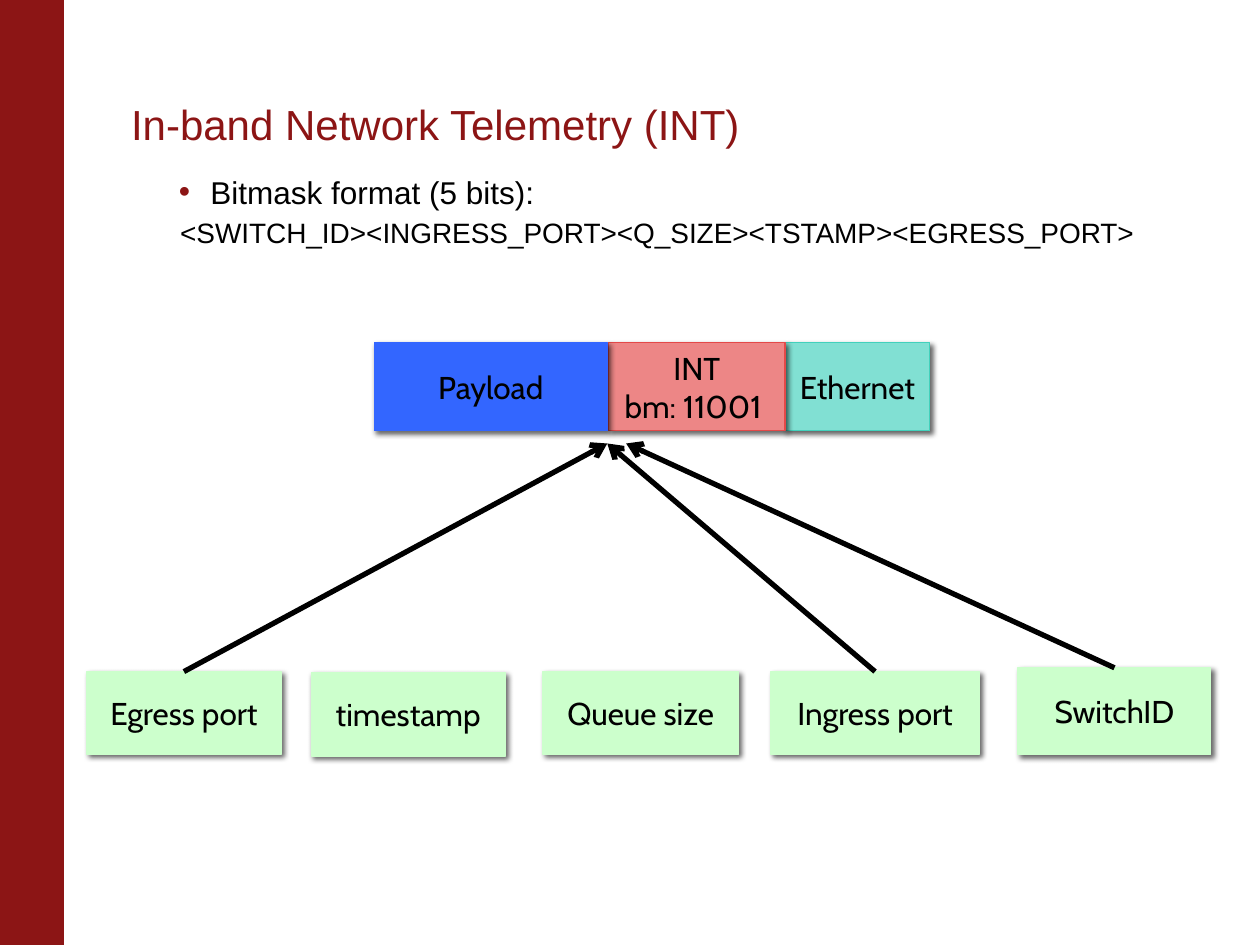
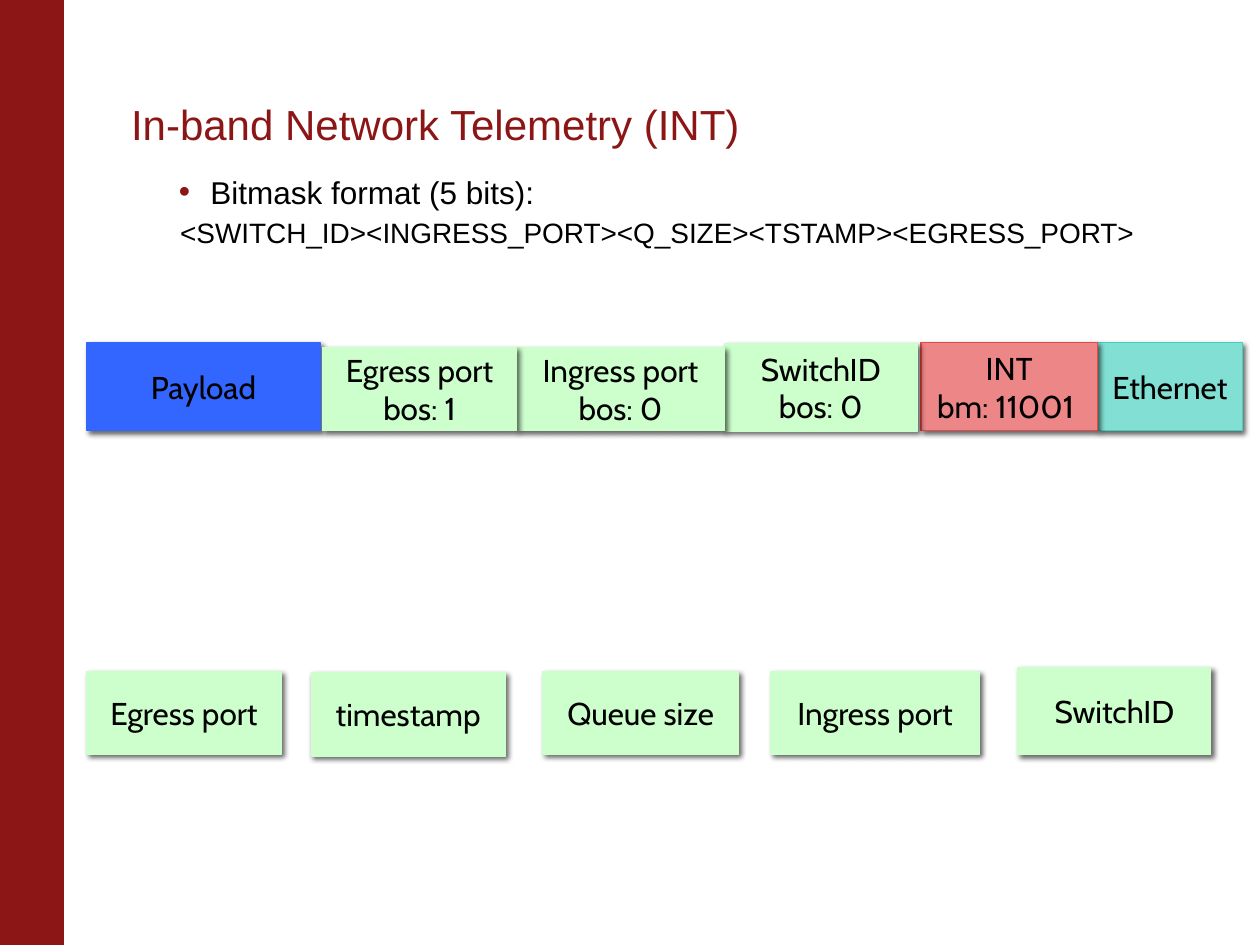
from lxml.etree import SubElement
from pptx import Presentation
from pptx.dml.color import RGBColor
from pptx.enum.shapes import MSO_CONNECTOR as CONN, MSO_SHAPE as SHAPE
from pptx.enum.text import MSO_ANCHOR as ANCHOR, MSO_AUTO_SIZE as AUTO, PP_ALIGN as ALIGN
from pptx.oxml.ns import qn
from pptx.util import Inches, Pt

COLS, ROWS = 100, 75
WIDTH, HEIGHT = Inches(10), Inches(7.5)
RED, BLACK, GREEN = "8C1515", "000000", "CCFFCC"
TITLE = "In-band Network Telemetry (INT)"
BODY = (10.5, 13.2, 84.2, 13.2)
METADATA = {"SwitchID": (15.3, 6.9), "Ingress port": (16.5, 6.6),
            "Queue size": (15.5, 6.6), "timestamp": (15.4, 6.6),
            "Egress port": (15.4, 6.6)}
SOURCES = {"SwitchID": (80.8, 53), "Ingress port": (61.2, 53.3),
           "timestamp": (24.7, 53.4), "Queue size": (43.1, 53.3),
           "Egress port": (6.9, 53.3)}
HEADERS = {"Ethernet": (11.5, "81E0D3", "42D1BC"),
           "INT\nbm: 11001 ": (14, "ED8686", "E44949"),
           "Payload": (18.5, "3366FF", "3366FF")}
PACKET_TOP, PACKET_HEIGHT = 27.2, 7


def color(value):
    return RGBColor.from_string(value)


def x_of(cols):
    return round(WIDTH * cols / COLS)


def y_of(rows):
    return round(HEIGHT * rows / ROWS)


def place(box):
    left, top, width, height = box
    return x_of(left), y_of(top), x_of(width), y_of(height)


def assign(target, values):
    for name, value in values.items():
        setattr(target, name, value)


def write(p, text, size, font, ink):
    r = p.add_run()
    r.text = text
    assign(r.font, {"size": Pt(size), "name": font})
    r.font.color.rgb = color(ink)


def add_rect(s, box, fill, line):
    sp = s.shapes.add_shape(SHAPE.RECTANGLE, *place(box))
    sp.fill.solid()
    sp.fill.fore_color.rgb = color(fill)
    sp.line.color.rgb = color(line)
    sp.line.width = Pt(0.75)
    sp.shadow.inherit = False
    return sp


def add_shadow(sp):
    effects = sp._element.spPr.find(qn("a:effectLst"))
    shadow = SubElement(effects, qn("a:outerShdw"), blurRad=str(Pt(3)),
                        dist=str(Pt(2)), dir="2700000", rotWithShape="0")
    ink = SubElement(shadow, qn("a:srgbClr"), val=BLACK)
    SubElement(ink, qn("a:alpha"), val="60000")


def add_field(s, box, text, fill, line):
    sp = add_rect(s, box, fill, line)
    add_shadow(sp)
    tf = sp.text_frame
    assign(tf, {"word_wrap": True, "vertical_anchor": ANCHOR.MIDDLE})
    for i, row in enumerate(text.split("\n")):
        p = tf.add_paragraph() if i else tf.paragraphs[0]
        p.alignment = ALIGN.CENTER
        write(p, row, 18, "Cabin", BLACK)
    return sp


def add_frame(s):
    add_rect(s, (0, 0, 5, ROWS), RED, RED)
    title = s.shapes.title
    box = place((10.4, 5.2, 84.3, 7.1))
    assign(title, dict(zip(("left", "top", "width", "height"), box)))
    tf = title.text_frame
    assign(tf, {"margin_left": 0, "margin_right": Inches(0.1),
                "margin_top": Inches(0.05), "margin_bottom": Inches(0.05),
                "word_wrap": True, "auto_size": AUTO.NONE,
                "vertical_anchor": ANCHOR.BOTTOM})
    p = tf.paragraphs[0]
    assign(p, {"alignment": ALIGN.LEFT, "line_spacing": 0.85})
    write(p, TITLE, 24, "Arial", RED)


def add_bullet(p):
    pPr = p._p.get_or_add_pPr()
    SubElement(SubElement(pPr, qn("a:buClr")), qn("a:srgbClr"), val=RED)
    SubElement(pPr, qn("a:buSzPct"), val="102000")
    SubElement(pPr, qn("a:buFont"), typeface="Arial")
    SubElement(pPr, qn("a:buChar"), char="•")


def add_bitmask(s, box):
    tf = s.shapes.add_textbox(*place(box)).text_frame
    assign(tf, {"margin_left": 0, "margin_right": 0, "word_wrap": True})
    bullet, fields = tf.paragraphs[0], tf.add_paragraph()
    rows = ((bullet, "Bitmask format (5 bits):", 18, 0.62, -0.25),
            (fields, "<SWITCH_ID><INGRESS_PORT><Q_SIZE><TSTAMP><EGRESS_PORT>", 16, 0.38, 0))
    for p, text, size, margin, indent in rows:
        p.space_before = Pt(size * 0.2)
        pPr = p._p.get_or_add_pPr()
        pPr.set("marL", str(Inches(margin)))
        pPr.set("indent", str(Inches(indent)))
        write(p, text, size, "Arial", BLACK)
    add_bullet(bullet)


def add_sources(s):
    return {name: add_field(s, (left, top, *METADATA[name]), name, GREEN, GREEN)
            for name, (left, top) in SOURCES.items()}


def add_packet(s, left, right, top):
    lefts = {"Payload": left}
    for name, (width, _, _) in list(HEADERS.items())[:2]:
        right -= width
        lefts[name] = right
    for name, (width, fill, line) in HEADERS.items():
        add_field(s, (lefts[name], top, width, PACKET_HEIGHT), name, fill, line)


def add_stack(s, right, bottom, entries):
    for name, bos in entries:
        width, height = METADATA[name]
        right -= width
        box = (right, bottom - height, width, height)
        add_field(s, box, f"{name}\nbos: {bos}", GREEN, GREEN)


def add_arrow(s, source, x, y):
    c = s.shapes.add_connector(CONN.STRAIGHT, 0, 0, x_of(x), y_of(y))
    c.begin_connect(source, 0)
    c.line.color.rgb = color(BLACK)
    c.line.width = Pt(3)
    SubElement(c.line._get_or_add_ln(), qn("a:tailEnd"), type="arrow")
    SubElement(c._element.spPr, qn("a:effectLst"))


def add_base(prs, left, right):
    s = prs.slides.add_slide(prs.slide_layouts[5])
    add_frame(s)
    add_bitmask(s, BODY)
    add_packet(s, left, right, PACKET_TOP)
    return s, add_sources(s)


def add_request_slide(prs):
    s, sources = add_base(prs, 29.7, 73.8)
    for name, x in (("SwitchID", 49.7), ("Ingress port", 48.2), ("Egress port", 48.2)):
        add_arrow(s, sources[name], x, PACKET_TOP + PACKET_HEIGHT + 1)


def add_result_slide(prs):
    s, _ = add_base(prs, 6.9, 98.6)
    add_stack(s, 72.8, PACKET_TOP + PACKET_HEIGHT,
              (("SwitchID", 0), ("Ingress port", 0), ("Egress port", 1)))


def main():
    prs = Presentation()
    assign(prs, {"slide_width": WIDTH, "slide_height": HEIGHT})
    add_request_slide(prs)
    add_result_slide(prs)
    prs.save("out.pptx")


if __name__ == "__main__":
    main()
